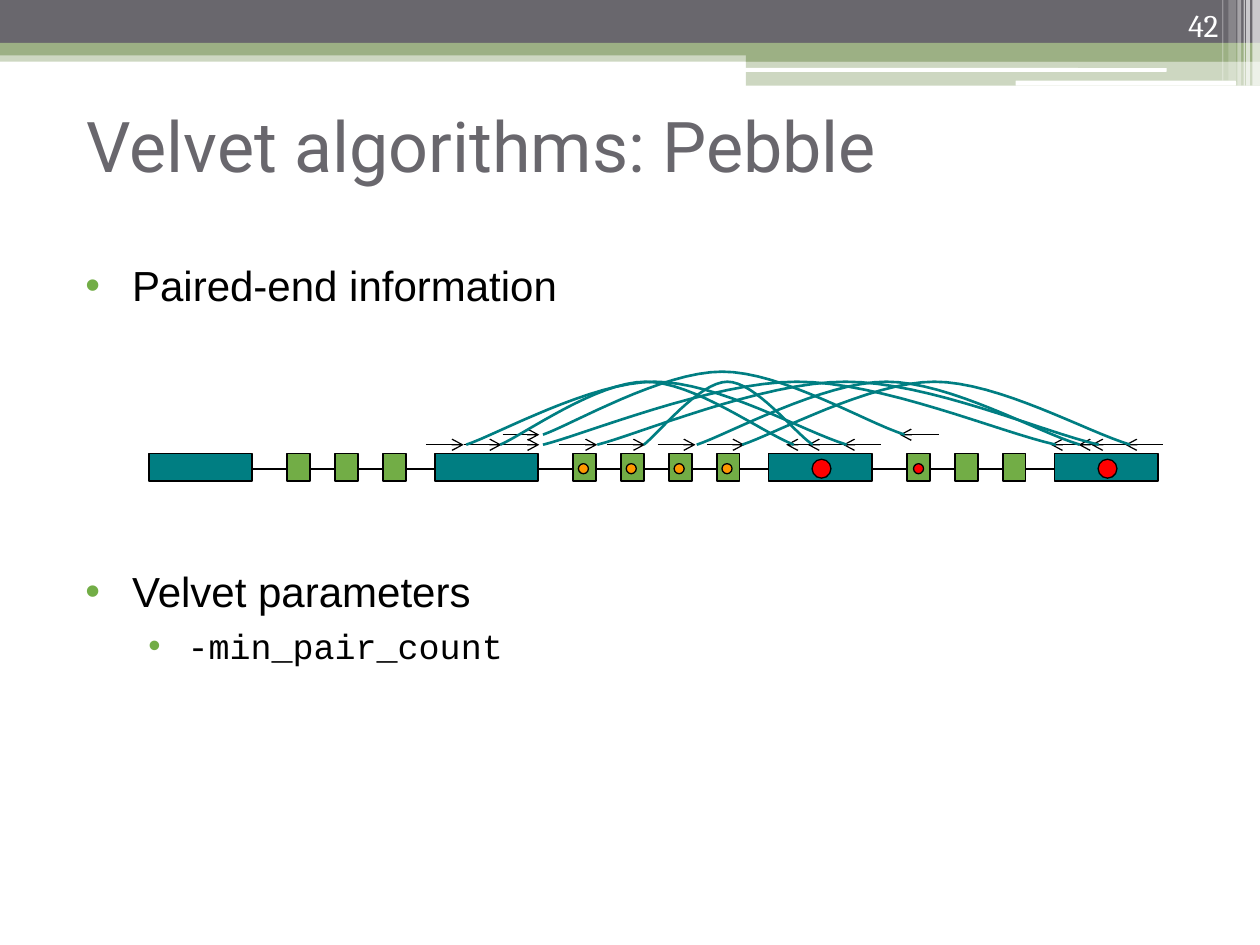
from dataclasses import dataclass

from pptx import Presentation
from pptx import util as u
from pptx.dml.color import RGBColor
from pptx.enum import shapes, text
from pptx.oxml import ns
from lxml import etree


@dataclass(frozen=True)
class Theme:
    ink: str = "000000"
    white: str = "FFFFFF"
    slate: str = "69676D"
    sage: str = "9CB084"
    teal: str = "007E82"
    green: str = "72AD46"
    red: str = "FF0000"
    amber: str = "FF9900"
    title: int = 40
    body: int = 24
    code: int = 20
    page: int = 18


class Board:
    def __init__(self, slide, theme):
        self.slide, self.theme = slide, theme

    def sub(self, node, tag, **attrs):
        return etree.SubElement(node, ns.qn(tag), attrs)

    def paint(self, shape, fill, line=None, width=1.0, alpha=None):
        shape.shadow.inherit = False
        if fill:
            shape.fill.solid()
            shape.fill.fore_color.rgb = RGBColor.from_string(fill)
            if alpha:
                clr = shape._element.spPr.find(".//" + ns.qn("a:srgbClr"))
                self.sub(clr, "a:alpha", val=str(alpha * 1000))
        else:
            shape.fill.background()
        if line:
            shape.line.color.rgb = RGBColor.from_string(line)
            shape.line.width = u.Pt(width)
        else:
            shape.line.fill.background()

    def shape(self, kind, box, fill, **style):
        item = self.slide.shapes.add_shape(kind, *map(u.Inches, box))
        self.paint(item, fill, **style)

    def rect(self, box, fill, **style):
        self.shape(shapes.MSO_SHAPE.RECTANGLE, box, fill, **style)

    def pill(self, box, fill):
        self.shape(shapes.MSO_SHAPE.ROUNDED_RECTANGLE, box, fill)

    def dot(self, x, y, size, fill):
        box = (x - size / 2, y - size / 2, size, size)
        self.shape(shapes.MSO_SHAPE.OVAL, box, fill, line=self.theme.ink, width=0.75)

    def line(self, start, end, width=1.0, arrow=False):
        item = self.slide.shapes.add_connector(
            shapes.MSO_CONNECTOR.STRAIGHT, *map(u.Inches, (*start, *end)))
        item.line.color.rgb = RGBColor.from_string(self.theme.ink)
        item.line.width = u.Pt(width)
        props = item._element.spPr
        if arrow:
            self.sub(props.find(ns.qn("a:ln")), "a:tailEnd", type="arrow")
        self.sub(props, "a:effectLst")

    def arc(self, left, right, base, rise=0.5, steps=16):
        # Two Bezier halves, as shares of the span and the rise
        halves = (((0, 0), (0.08, 0.16), (0.33, 1), (0.495, 1)),
                  ((0.495, 1), (0.66, 1), (0.89, 0.2), (1, 0)))
        dots = []
        for half in halves:
            for step in range(steps + 1):
                t = step / steps
                mix = ((1 - t) ** 3, 3 * t * (1 - t) ** 2, 3 * t * t * (1 - t), t ** 3)
                x, y = (sum(m * p[i] for m, p in zip(mix, half)) for i in (0, 1))
                dots.append((u.Inches(left + x * (right - left)),
                             u.Inches(base - y * rise)))
        form = self.slide.shapes.build_freeform(*dots[0])
        form.add_line_segments(dots[1:], close=False)
        self.paint(form.convert_to_shape(), None, line=self.theme.teal, width=1.5)

    def place(self, item, box):
        item.left, item.top, item.width, item.height = map(u.Inches, box)

    def run(self, para, words, size, font, color):
        run = para.add_run()
        run.text = words
        run.font.size, run.font.name = u.Pt(size), font
        run.font.color.rgb = RGBColor.from_string(color)

    def title(self, words, box):
        item = self.slide.shapes.title
        self.place(item, box)
        item.text_frame.vertical_anchor = text.MSO_ANCHOR.MIDDLE
        para = item.text_frame.paragraphs[0]
        para.alignment = text.PP_ALIGN.LEFT
        self.run(para, words, self.theme.title, "Roboto", self.theme.slate)

    def frame(self, box, anchor=text.MSO_ANCHOR.TOP):
        frame = self.slide.shapes.add_textbox(*map(u.Inches, box)).text_frame
        frame.word_wrap = True
        frame.vertical_anchor = anchor
        return frame

    def page(self, words, box):
        para = self.frame(box, text.MSO_ANCHOR.BOTTOM).paragraphs[0]
        para.alignment = text.PP_ALIGN.RIGHT
        self.run(para, words, self.theme.page, "Cambria", self.theme.white)

    def list(self, rows, box):
        frame = self.frame(box)
        for i, (words, level, gap, size, font) in enumerate(rows):
            para = frame.paragraphs[0] if i == 0 else frame.add_paragraph()
            para.level, para.space_before = level, u.Pt(gap)
            props = para._p.get_or_add_pPr()
            left, hang = ((0.37, 0.37), (0.81, 0.31))[level]
            props.set("marL", str(u.Inches(left)))
            props.set("indent", str(-u.Inches(hang)))
            self.sub(self.sub(props, "a:buClr"), "a:srgbClr", val=self.theme.green)
            self.sub(props, "a:buFont", typeface="Arial")
            self.sub(props, "a:buChar", char="•")
            self.run(para, words, size, font, self.theme.ink)


def banner(board):
    t = board.theme
    board.rect((0, 0.4, 10, 0.09), t.sage, alpha=50)
    board.rect((0, 0, 10, 0.34), t.slate)
    board.rect((0, 0.34, 10, 0.1), t.sage)
    board.rect((5.92, 0.39, 4.08, 0.1), t.sage)
    board.rect((5.92, 0.48, 4.08, 0.2), t.sage, alpha=50)
    board.pill((5.91, 0.54, 3.35, 0.03), t.white)
    board.pill((8.06, 0.64, 1.75, 0.04), t.white)
    for x, wide, high, alpha in (
            (9.94, 0.06, 0.68, 65), (9.89, 0.03, 0.68, 65), (9.87, 0.01, 0.68, 60),
            (9.82, 0.03, 0.68, 40), (9.75, 0.06, 0.64, 20), (9.7, 0.01, 0.64, 30)):
        board.rect((x, 0, wide, high), t.white, alpha=alpha)


def reads(board):
    # Forward reads point right, reverse reads point left
    span, high, low = 0.3, 3.45, 3.53
    for way, starts in ((1, (3.38, 3.68, 3.98, 4.44, 4.82, 5.22, 5.61)),
                        (-1, (6.54, 6.71, 6.99, 8.64, 8.86, 8.96, 9.23))):
        for x in starts:
            board.line((x, low), (x + way * span, low), 0.75, True)
    board.line((3.99, high), (4.28, high), 0.75, True)
    board.line((7.45, high), (7.14, high), 0.75, True)
    # Arcs join the two reads of a pair
    board.arc(4.31, 7.18, high)
    for left, right in ((3.97, 6.3), (3.7, 6.72), (4.31, 8.38), (5.89, 8.97),
                        (5.53, 8.57), (5.11, 6.45), (4.74, 8.72)):
        board.arc(left, right, low)


def contigs(board):
    t = board.theme
    top, high, mid = 3.6, 0.22, 3.72
    long, short, lead, step = 0.82, 0.18, 1.1, 0.38
    units = []
    for x, count in ((1.18, 3), (3.45, 4), (6.1, 3), (8.37, 0)):
        units.append((x, long, t.teal))
        units += [(x + lead + i * step, short, t.green) for i in range(count)]
    for x, wide, fill in units:
        board.rect((x, top, wide, high), fill, line=t.ink)
    for (x, wide, _), (after, _, _) in zip(units, units[1:]):
        board.line((x + wide, mid), (after, mid))
    # Markers
    for x, size in ((6.52, 0.15), (7.29, 0.08), (8.79, 0.15)):
        board.dot(x, mid, size, t.red)
    for i in range(4):
        board.dot(4.63 + i * step, mid, 0.08, t.amber)


def main():
    deck = Presentation()
    deck.slide_width, deck.slide_height = u.Inches(10), u.Inches(7.5)
    theme = Theme()
    board = Board(deck.slides.add_slide(deck.slide_layouts[5]), theme)
    banner(board)
    board.page("42", (8.94, 0, 0.83, 0.4))
    board.title("Velvet algorithms: Pebble", (0.59, 0.68, 9.25, 0.94))
    board.list((("Paired-end information", 0, 6, theme.body, "Arial"),
                ("Velvet parameters", 0, 146, theme.body, "Arial"),
                ("-min_pair_count", 1, 5, theme.code, "Courier New")),
               (0.58, 2.01, 8.92, 4.11))
    reads(board)
    contigs(board)
    deck.save("out.pptx")


if __name__ == "__main__":
    main()
